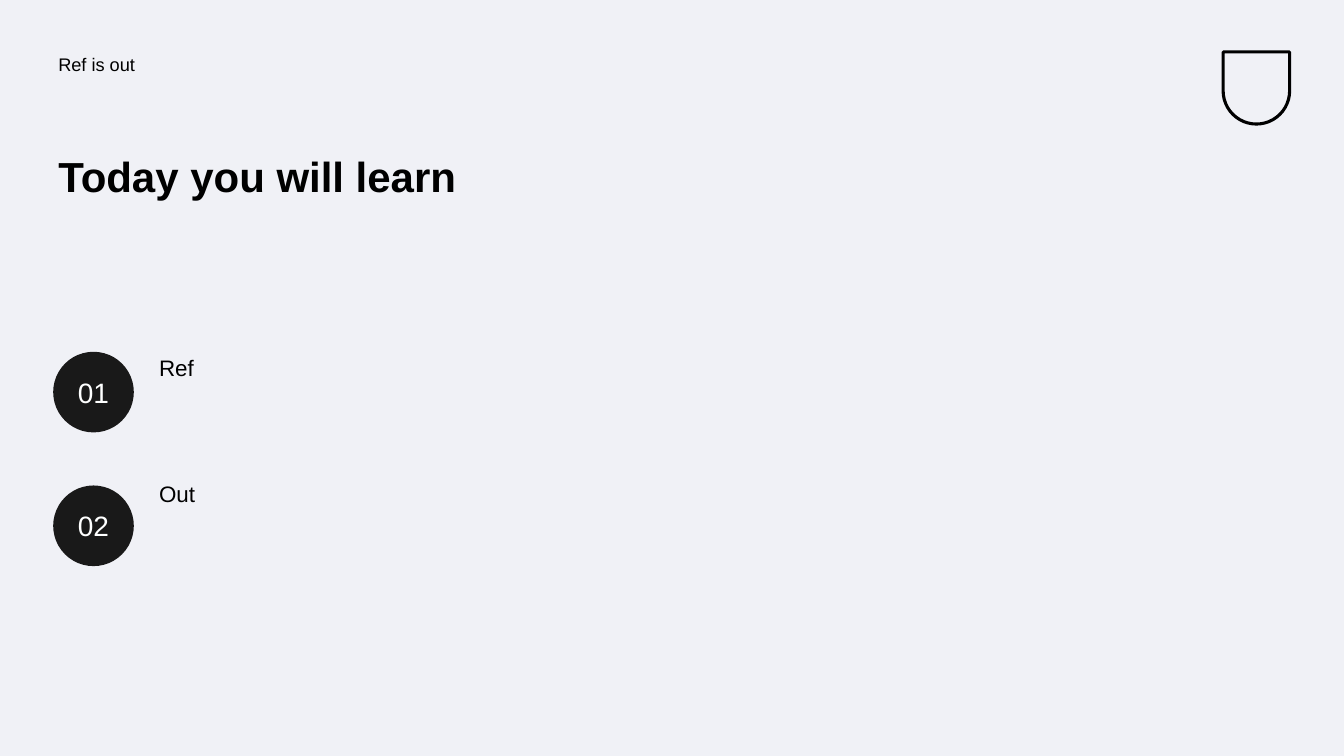
import pptx
import pptx.util
import pptx.dml.color
import pptx.enum.shapes
import pptx.enum.text

Pt = pptx.util.Pt
RGBColor = pptx.dml.color.RGBColor
SHAPE = pptx.enum.shapes.MSO_SHAPE
ANCHOR = pptx.enum.text.MSO_ANCHOR
ALIGN = pptx.enum.text.PP_ALIGN

BACKGROUND = RGBColor(0xF0, 0xF1, 0xF6)
BLACK = RGBColor(0x00, 0x00, 0x00)
CIRCLE = RGBColor(0x19, 0x19, 0x19)
NUMBER = RGBColor(0xFE, 0xFF, 0xFF)


class Deck:
    font = "Arial"
    inset = 3.6

    def __init__(self, prs):
        self.s = prs.slides.add_slide(prs.slide_layouts[5])
        fill = self.s.background.fill
        fill.solid()
        fill.fore_color.rgb = BACKGROUND

    def set_text(self, sp, text, size, color=BLACK, bold=False,
                 align=ALIGN.LEFT, anchor=ANCHOR.TOP, spacing=0.9):
        tf = sp.text_frame
        tf.word_wrap = True
        tf.auto_size = pptx.enum.text.MSO_AUTO_SIZE.NONE
        tf.vertical_anchor = anchor
        tf.margin_left = tf.margin_right = Pt(self.inset)
        tf.margin_top = tf.margin_bottom = Pt(self.inset)
        p = tf.paragraphs[0]
        p.alignment = align
        p.line_spacing = spacing
        r = p.add_run()
        r.text = text
        r.font.name = self.font
        r.font.size = Pt(size)
        r.font.bold = bold
        r.font.color.rgb = color

    def title(self, text, x, y, w, h, size):
        sp = self.s.shapes.title
        sp.left, sp.top, sp.width, sp.height = Pt(x), Pt(y), Pt(w), Pt(h)
        self.set_text(sp, text, size, bold=True)

    def text(self, text, x, y, w, h, size):
        sp = self.s.shapes.add_textbox(Pt(x), Pt(y), Pt(w), Pt(h))
        self.set_text(sp, text, size)

    def circle(self, text, x, y, d, size):
        sp = self.s.shapes.add_shape(SHAPE.OVAL, Pt(x), Pt(y), Pt(d), Pt(d))
        sp.shadow.inherit = False
        sp.fill.solid()
        sp.fill.fore_color.rgb = CIRCLE
        sp.line.fill.background()
        self.set_text(sp, text, size, NUMBER, align=ALIGN.CENTER,
                      anchor=ANCHOR.MIDDLE, spacing=1.0)

    def shield(self, x, y, w, h, line):
        sp = self.s.shapes.add_shape(SHAPE.ROUND_2_SAME_RECTANGLE,
                                     Pt(x), Pt(y), Pt(w), Pt(h))
        sp.adjustments[0], sp.adjustments[1] = 0, 0.5
        sp.shadow.inherit = False
        sp.fill.background()
        sp.line.color.rgb = BLACK
        sp.line.width = Pt(line)


def main():
    prs = pptx.Presentation()
    prs.slide_width, prs.slide_height = Pt(960), Pt(540)
    deck = Deck(prs)

    # Header
    deck.shield(873.7, 37.1, 47.5, 51.5, 2.2)
    deck.text("Ref is out", 38, 36, 442, 36, 13)
    deck.title("Today you will learn", 38, 108, 406, 107, 30)

    # Numbered topics
    for i, topic in enumerate(["Ref", "Out"]):
        deck.text(topic, 110, 251.3 + 90 * i, 333, 71, 16)
        deck.circle(f"{i + 1:02}", 38, 251.3 + 95.5 * i, 57.6, 20)

    prs.save("out.pptx")


if __name__ == "__main__":
    main()
